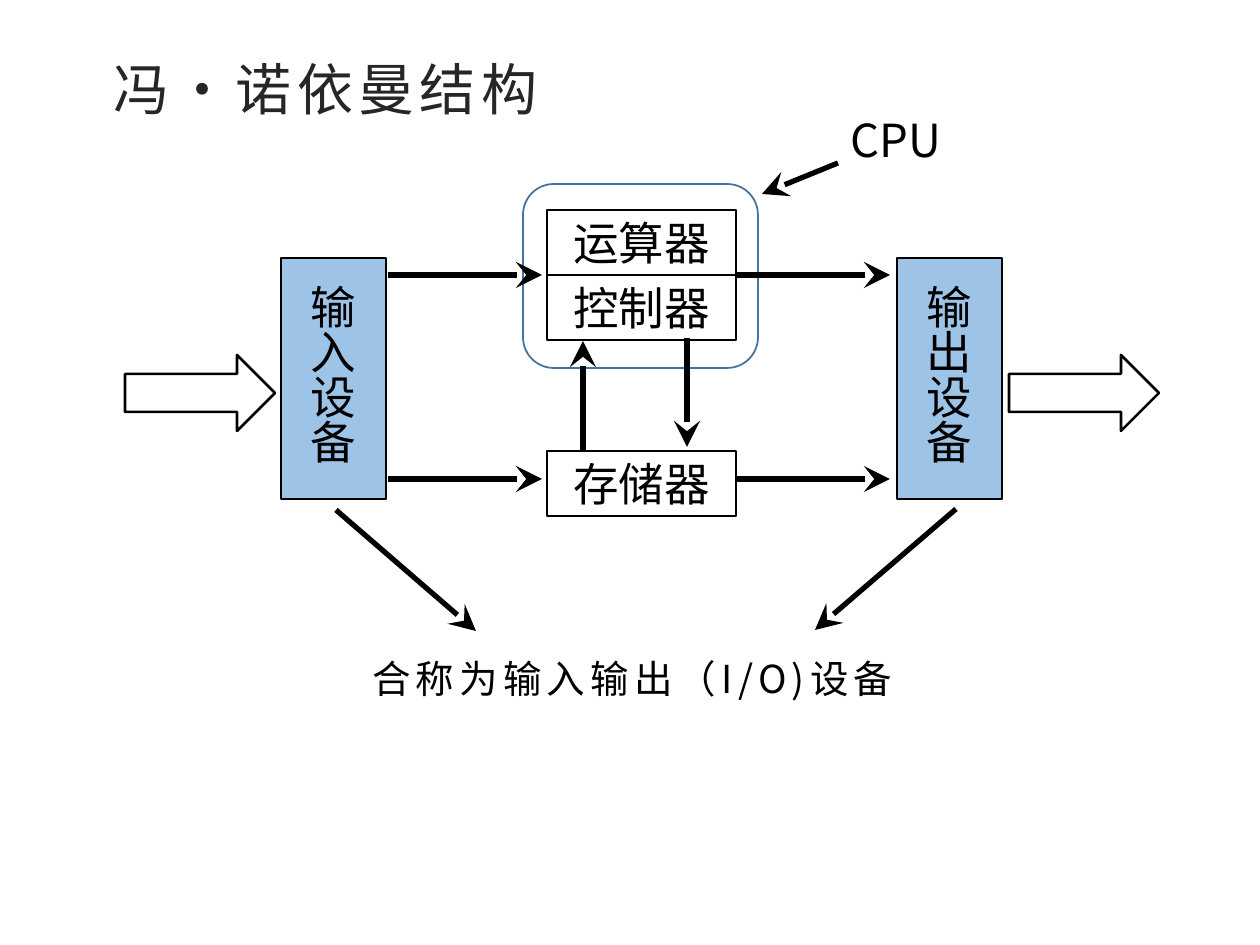
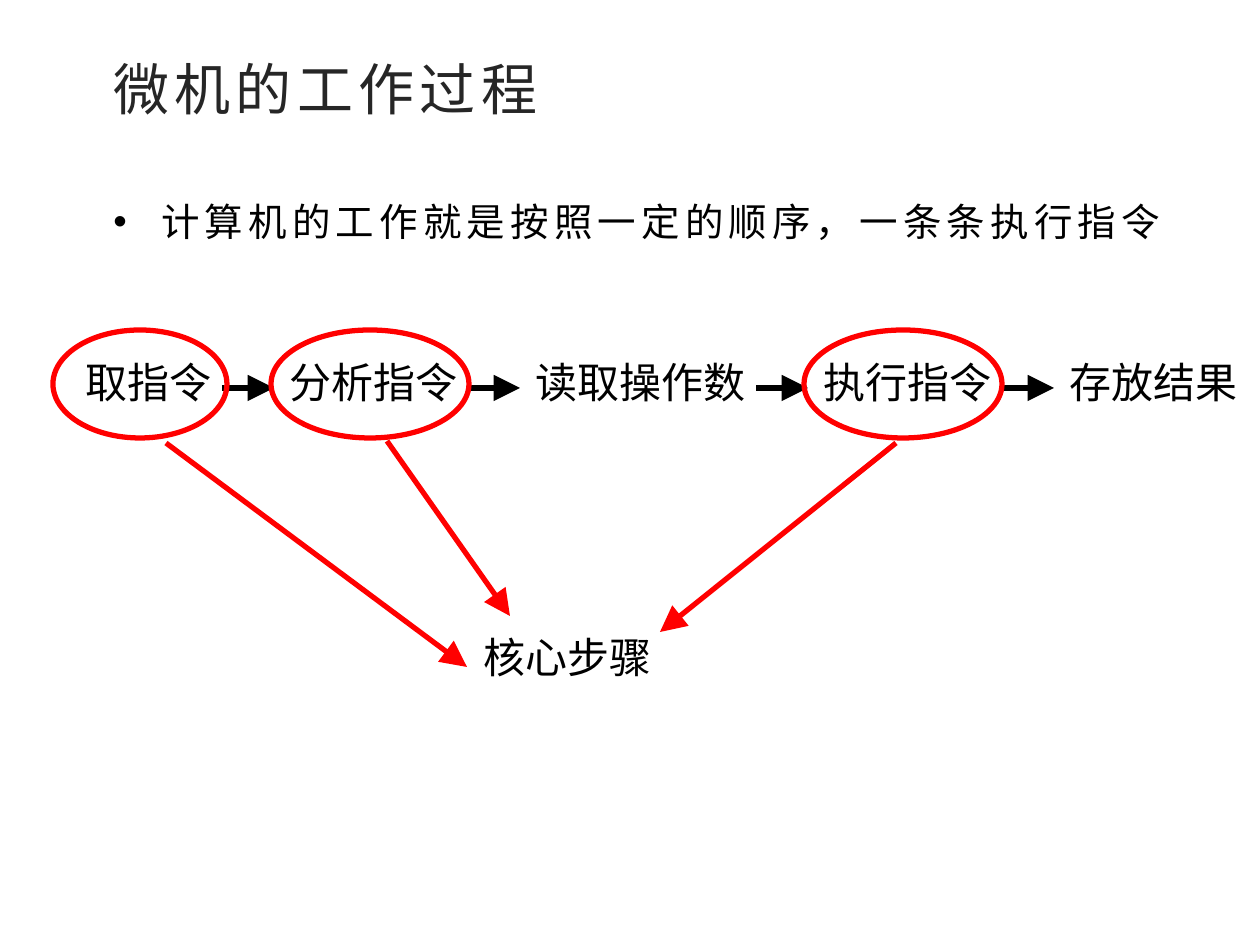
import pptx
import pptx.util
import pptx.dml.color
import pptx.enum.lang
import pptx.enum.shapes
import pptx.enum.text
import pptx.oxml.ns
import lxml.etree

PX = 914400 / 126
FONT = "Noto Sans CJK SC"
COLORS = {"title": "262626", "ink": "000000", "device": "9DC3E6",
          "cpu": "43739E", "core": "FF0000", "paper": "FFFFFF"}
SHAPES = pptx.enum.shapes.MSO_SHAPE

# Slide 1: machine structure
STRUCTURE_TITLE = "冯·诺依曼结构"
DEVICE_TOP, DEVICE_SIZE = 258, (105, 241)
DEVICES = [("输入设备", 281), ("输出设备", 897)]
UNIT_LEFT, UNIT_SIZE = 547, (189, 65)
UNITS = [("存储器", 451), ("控制器", 275), ("运算器", 210)]
CPU_FRAME = (523, 184, 235, 184)
CPU_LABEL = ("CPU", (838, 112, 118, 68))
IO_LABEL = ("合称为输入输出（I/O)设备", (360, 632, 565, 84))
FLOW_LEFTS, FLOW_ROWS, FLOW_LENGTH = (388, 736), (275, 479), 154
MEMORY_FLOWS = [(583, 451, 583, 341), (687, 338, 687, 447)]
DATA_ARROW_LEFTS, DATA_ARROW_TOP, DATA_ARROW_SIZE = (125, 1009), 355, (150, 76)
POINTERS = [(838, 163, 762, 194), (336, 510, 476, 631), (956, 509, 815, 630)]

# Slide 2: working process
PROCESS_TITLE = "微机的工作过程"
SUMMARY = ("计算机的工作就是按照一定的顺序，一条条执行指令", (101, 175, 1081, 72))
STEPS = ["取指令", "分析指令", "读取操作数", "执行指令", "存放结果"]
STEP_LEFT, STEP_TOP, STEP_HEIGHT, STEP_GAP = 73, 357, 63, 52
CORE_RINGS = {"取指令": (-20, 174), "分析指令": (-6, 198), "执行指令": (-7, 198)}
RING_TOP, RING_HEIGHT = 330, 108
CORE_LABEL = ("核心步骤", (471, 632, 195, 63))
CORE_POINTERS = [(166, 443, 467, 667), (896, 443, 660, 632), (387, 441, 510, 616)]


def emu(*lengths):
    return [round(length * PX) for length in lengths]


def rgb(name):
    return pptx.dml.color.RGBColor.from_string(COLORS[name])


def add_child(parent, tag, **attributes):
    return lxml.etree.SubElement(parent, pptx.oxml.ns.qn(tag), **attributes)


def write(frame, text, size, color="ink", tracking=0, spacing=None, bullet_indent=0):
    """Fill a text frame with one formatted paragraph."""
    frame.margin_top = frame.margin_bottom = 0
    frame.text = text
    para = frame.paragraphs[0]
    if spacing:
        para.line_spacing = spacing
    if bullet_indent:
        indent = emu(bullet_indent)[0]
        properties = para._p.get_or_add_pPr()
        properties.set("marL", str(indent))
        properties.set("indent", str(-indent))
        add_child(properties, "a:buFont", typeface="Arial")
        add_child(properties, "a:buChar", char="•")
    for span in para.runs:
        span.font.size = pptx.util.Pt(size)
        span.font.name = FONT
        span.font.color.rgb = rgb(color)
        span.font.language_id = pptx.enum.lang.MSO_LANGUAGE_ID.SIMPLIFIED_CHINESE
        properties = span._r.get_or_add_rPr()
        if tracking:
            properties.set("spc", str(tracking * 100))
        add_child(properties, "a:ea", typeface=FONT)
    return para


def add_text(page, text, bounds, size, wrap=False, **style):
    frame = page.shapes.add_textbox(*emu(*bounds)).text_frame
    frame.word_wrap = wrap
    if wrap:
        frame.margin_right = 0
    write(frame, text, size, **style)


def add_shape(page, kind, bounds, line, width, fill=None, text="", spacing=None):
    shape = page.shapes.add_shape(kind, *emu(*bounds))
    shape.shadow.inherit = False
    if fill:
        shape.fill.solid()
        shape.fill.fore_color.rgb = rgb(fill)
    else:
        shape.fill.background()
    shape.line.color.rgb = rgb(line)
    shape.line.width = pptx.util.Pt(width)
    if text:
        para = write(shape.text_frame, text, 26, spacing=spacing)
        para.alignment = pptx.enum.text.PP_ALIGN.CENTER
        shape.text_frame.vertical_anchor = pptx.enum.text.MSO_ANCHOR.MIDDLE


def add_arrow(page, ends, head, color="ink"):
    arrow = page.shapes.add_connector(
        pptx.enum.shapes.MSO_CONNECTOR.STRAIGHT, *emu(*ends))
    arrow.line.color.rgb = rgb(color)
    arrow.line.width = pptx.util.Pt(3)
    add_child(arrow.line._get_or_add_ln(), "a:tailEnd", type=head, w="lg", len="lg")
    add_child(arrow._element.spPr, "a:effectLst")


def add_page(deck, title):
    page = deck.slides.add_slide(deck.slide_layouts[6])
    add_text(page, title, (101, 54, 1081, 81), 32, wrap=True, color="title", tracking=3)
    return page


def build_structure(deck):
    page = add_page(deck, STRUCTURE_TITLE)
    add_shape(page, SHAPES.ROUNDED_RECTANGLE, CPU_FRAME, "cpu", 1)
    for name, left in DEVICES:
        add_shape(page, SHAPES.FLOWCHART_PROCESS, (left, DEVICE_TOP, *DEVICE_SIZE),
                  "ink", 1.5, "device", name, spacing=0.83)
    for name, top in UNITS:
        add_shape(page, SHAPES.FLOWCHART_PROCESS, (UNIT_LEFT, top, *UNIT_SIZE),
                  "ink", 1.5, text=name)
    flows = [(left, row, left + FLOW_LENGTH, row)
             for left in FLOW_LEFTS for row in FLOW_ROWS]
    for ends in flows + MEMORY_FLOWS + POINTERS:
        add_arrow(page, ends, "stealth")
    for left in DATA_ARROW_LEFTS:
        add_shape(page, SHAPES.RIGHT_ARROW, (left, DATA_ARROW_TOP, *DATA_ARROW_SIZE),
                  "ink", 1.5, "paper")
    add_text(page, *IO_LABEL, 22, wrap=True, tracking=3, spacing=1.5)
    add_text(page, *CPU_LABEL, 26)


def build_process(deck):
    page = add_page(deck, PROCESS_TITLE)
    add_text(page, *SUMMARY, 22, wrap=True, tracking=3, spacing=1.5, bullet_indent=48)
    left, middle = STEP_LEFT, STEP_TOP + STEP_HEIGHT // 2
    rings = []
    for step in STEPS:
        width = 42 * len(step) + 26
        add_text(page, step, (left, STEP_TOP, width, STEP_HEIGHT), 24)
        if step in CORE_RINGS:
            offset, ring_width = CORE_RINGS[step]
            rings.append((left + offset, RING_TOP, ring_width, RING_HEIGHT))
        right = left + width
        left = right + STEP_GAP
        if step != STEPS[-1]:
            add_arrow(page, (right - 3, middle, left - 3, middle), "triangle")
    for bounds in rings:
        add_shape(page, SHAPES.OVAL, bounds, "core", 3)
    for ends in CORE_POINTERS:
        add_arrow(page, ends, "triangle", "core")
    add_text(page, *CORE_LABEL, 24)


def main():
    deck = pptx.Presentation()
    deck.slide_width, deck.slide_height = emu(1260, 945)
    build_structure(deck)
    build_process(deck)
    deck.save("out.pptx")


if __name__ == "__main__":
    main()
